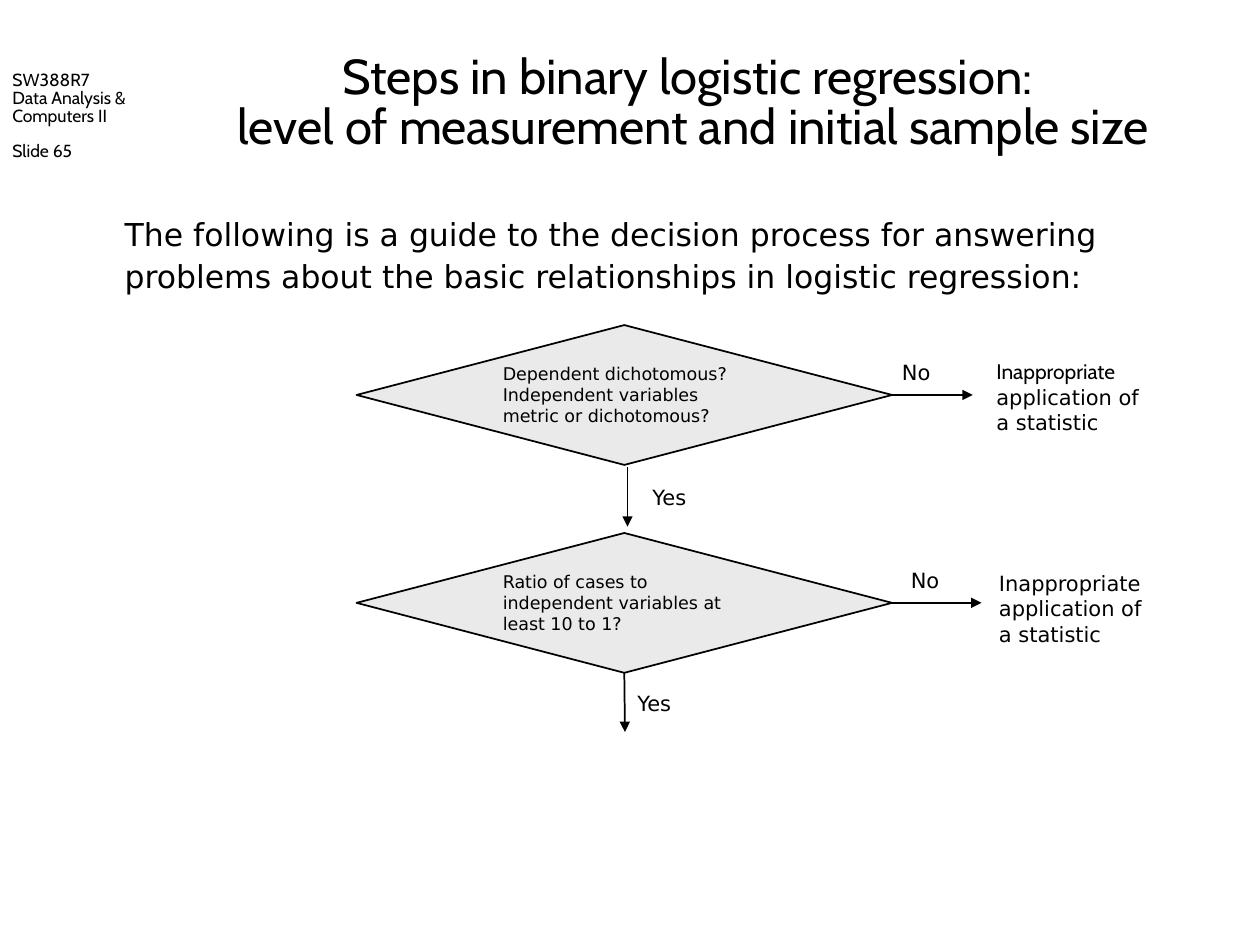
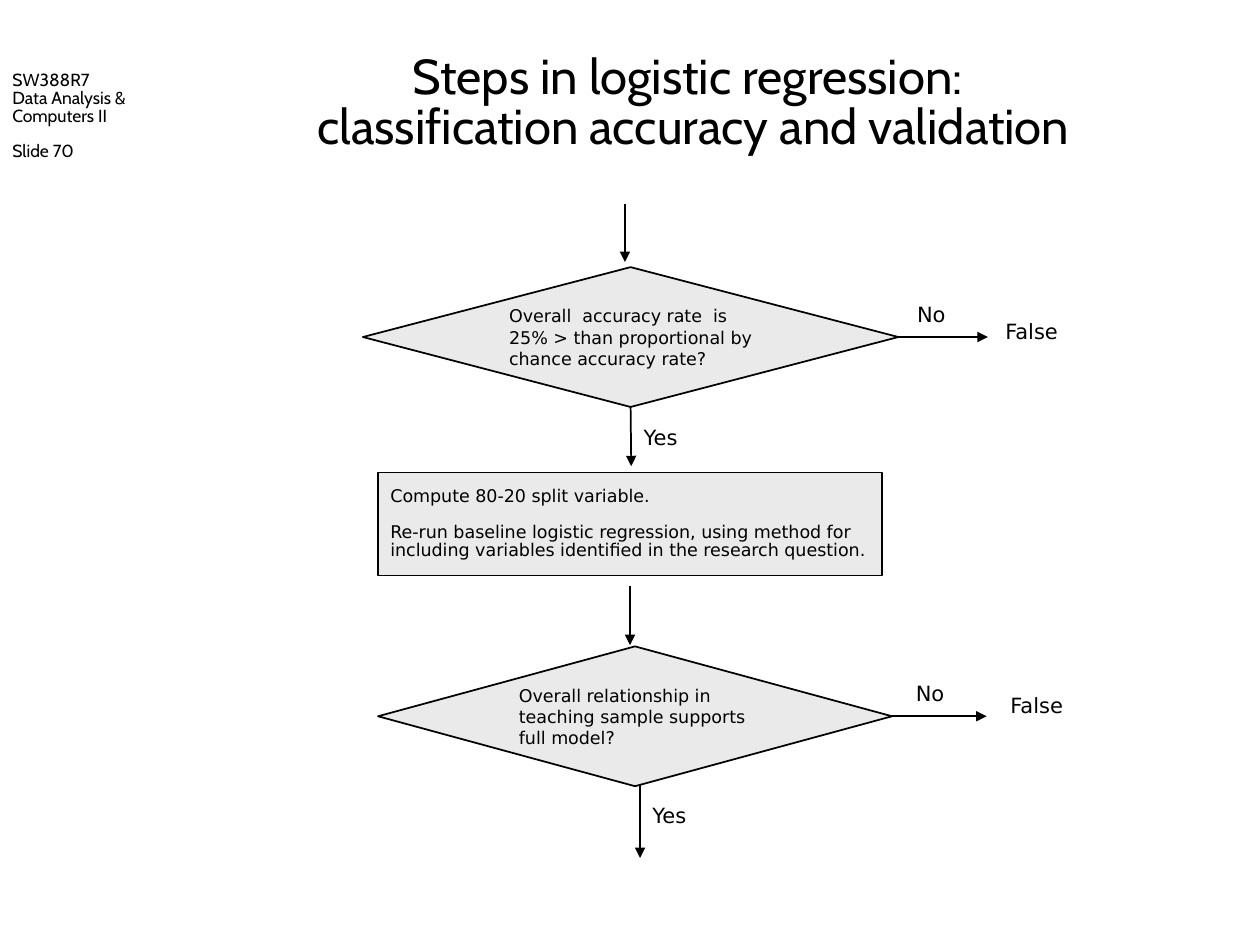
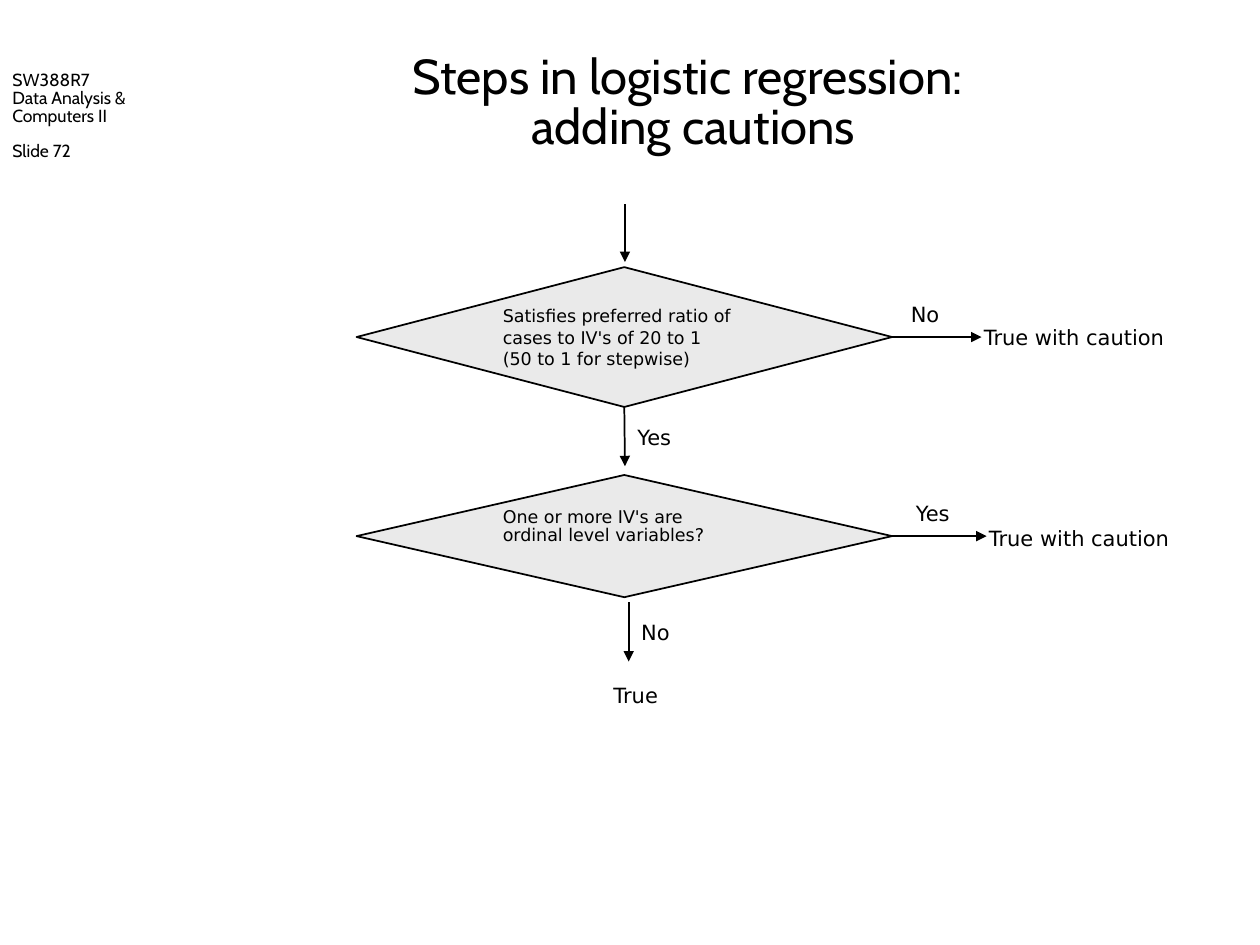
import pptx
import pptx.dml.color
import pptx.enum.shapes
import pptx.enum.text
import pptx.oxml.ns
import pptx.util
import lxml.etree

SHAPE = pptx.enum.shapes.MSO_SHAPE
ANCHOR = pptx.enum.text.MSO_ANCHOR
ALIGN = pptx.enum.text.PP_ALIGN

WIDTH, HEIGHT = pptx.util.Inches(10), pptx.util.Inches(7.5)
COLUMNS, ROWS = 100, 75
BLACK, WHITE, GREY = "000000", "FFFFFF", "EAEAEA"
HEADING_FONT, BODY_FONT = "Cabin", "DejaVu Sans"
TIGHT = 0.85
BOTTOM_SITE, RIGHT_SITE = 2, 3


def rgb(value):
    return pptx.dml.color.RGBColor.from_string(value)


def col(n):
    return round(WIDTH * n / COLUMNS)


def row(n):
    return round(HEIGHT * n / ROWS)


def box(left, top, width, height):
    return col(left), row(top), col(width), row(height)


def add_run(p, text, size, font=BODY_FONT):
    r = p.add_run()
    r.text = text
    r.font.size = pptx.util.Pt(size)
    r.font.name = font
    r.font.color.rgb = rgb(BLACK)


def fill_text(tf, paragraphs, size, font=BODY_FONT, anchor=ANCHOR.TOP,
              align=ALIGN.LEFT, spacing=None):
    tf.word_wrap = True
    tf.auto_size = pptx.enum.text.MSO_AUTO_SIZE.NONE
    tf.vertical_anchor = anchor
    for i, text in enumerate(paragraphs):
        p = tf.paragraphs[0] if i == 0 else tf.add_paragraph()
        p.alignment = align
        p.line_spacing = spacing
        add_run(p, text, size, font)
    return tf


def add_label(slide, area, text, align=ALIGN.LEFT):
    sp = slide.shapes.add_textbox(*box(*area))
    return fill_text(sp.text_frame, [text], 12, align=align)


def add_block(slide, kind, area, fill, line_width=None):
    sp = slide.shapes.add_shape(kind, *box(*area))
    sp.shadow.inherit = False
    sp.fill.solid()
    sp.fill.fore_color.rgb = rgb(fill)
    if line_width:
        sp.line.color.rgb = rgb(BLACK)
        sp.line.width = pptx.util.Pt(line_width)
    else:
        sp.line.fill.background()
    return sp


def add_decision(slide, area, paragraphs, spacing=None):
    sp = add_block(slide, SHAPE.FLOWCHART_DECISION, area, GREY, 1)
    fill_text(sp.text_frame, paragraphs, 10, anchor=ANCHOR.MIDDLE, spacing=spacing)
    return sp


def add_arrow(slide, x1, y1, x2, y2, source=None, site=None):
    cx = slide.shapes.add_connector(
        pptx.enum.shapes.MSO_CONNECTOR.STRAIGHT, col(x1), row(y1), col(x2), row(y2))
    cx.line.color.rgb = rgb(BLACK)
    cx.line.width = pptx.util.Pt(1)
    qn = pptx.oxml.ns.qn
    lxml.etree.SubElement(cx.line._get_or_add_ln(), qn("a:tailEnd"), type="triangle")
    lxml.etree.SubElement(cx._element.spPr, qn("a:effectLst"))
    if source is not None:
        cx.begin_connect(source, site)


def arrow_down(slide, x, top, bottom, label=None, source=None, shift=0):
    add_arrow(slide, x, top, x, bottom, source, BOTTOM_SITE)
    if label:
        add_label(slide, (x + shift, top + 0.9, 5.1, 3), label)


def arrow_right(slide, source, end, label):
    tip = (source.left + source.width) / col(1)
    middle = (source.top + source.height / 2) / row(1)
    add_arrow(slide, tip, middle, end, middle, source, RIGHT_SITE)
    add_label(slide, (end - 6.6, middle - 3.3, 5.1, 3), label)


def add_slide(prs, number, title_lines):
    slide = prs.slides.add_slide(prs.slide_layouts[5])
    course = slide.shapes.add_textbox(*box(0, 3.3, 12.5, 10))
    tf = fill_text(course.text_frame,
                   ["SW388R7", "Data Analysis & Computers II", f"Slide {number}"],
                   10, HEADING_FONT, ANCHOR.BOTTOM, spacing=TIGHT)
    tf.paragraphs[-1].space_before = pptx.util.Pt(10)

    title = slide.shapes.title
    title.left, title.top, title.width, title.height = box(12.5, 3.3, 85, 10)
    tf = fill_text(title.text_frame, title_lines[:1], 28, HEADING_FONT,
                   ANCHOR.MIDDLE, ALIGN.CENTER, TIGHT)
    p = tf.paragraphs[0]
    p.add_line_break()
    add_run(p, title_lines[1], 28, HEADING_FONT)
    return slide


def build_sample_size(prs):
    slide = add_slide(prs, 65, ["Steps in binary logistic regression: ",
                                "level of measurement and initial sample size"])
    guide = add_block(slide, SHAPE.RECTANGLE, (8.3, 16.6, 89.6, 7.6), WHITE)
    tf = fill_text(guide.text_frame,
                   ["The following is a guide to the decision process for answering",
                    "problems about the basic relationships in logistic regression:"], 18)
    tf.margin_left = col(1.6)
    tf.paragraphs[1].space_before = pptx.util.Pt(2)

    level = add_decision(slide, (28.3, 25.8, 42.5, 11.1),
                         ["Dependent dichotomous?",
                          "Independent variables metric or dichotomous?"])
    arrow_right(slide, level, 77.2, "No")
    arrow_down(slide, 49.8, 37.1, 41.8, "Yes", shift=1)
    tf = add_label(slide, (78.1, 28, 13.6, 7), "Inappropriate ")
    tf.paragraphs[0].runs[0].font.name = HEADING_FONT
    add_run(tf.paragraphs[0], "application of a statistic", 12)

    ratio = add_decision(slide, (28.3, 42.3, 42.5, 11.1),
                         ["Ratio of cases to independent variables at least 10 to 1?"])
    arrow_right(slide, ratio, 77.9, "No")
    arrow_down(slide, 49.6, 53.4, 58.1, "Yes", ratio)
    add_label(slide, (78.3, 44.8, 14.2, 7), "Inappropriate application of a statistic")


def build_validation(prs):
    slide = add_slide(prs, 70, ["Steps in logistic regression: ",
                                "classification accuracy and validation"])
    arrow_down(slide, 49.6, 16.2, 20.8)
    accuracy = add_decision(
        slide, (28.8, 21.2, 42.5, 11.1),
        ["Overall  accuracy rate  is 25% > than proportional by chance accuracy rate?"])
    arrow_right(slide, accuracy, 78.4, "No")
    arrow_down(slide, 50.1, 32.3, 37, "Yes", accuracy)
    add_label(slide, (78.8, 24.8, 7.9, 3), "False")

    split = add_block(slide, SHAPE.RECTANGLE, (30, 37.5, 40, 8.2), GREY, 0.75)
    tf = fill_text(split.text_frame,
                   ["Compute 80-20 split variable.",
                    "Re-run baseline logistic regression, using method for including "
                    "variables identified in the research question."],
                   10, anchor=ANCHOR.MIDDLE, spacing=TIGHT)
    tf.paragraphs[1].space_before = pptx.util.Pt(10)
    arrow_down(slide, 50, 46.5, 51.2)

    teaching = add_decision(
        slide, (30, 51.3, 40.8, 11.1),
        ["Overall relationship in teaching sample supports full model?"])
    arrow_right(slide, teaching, 78.3, "No")
    arrow_down(slide, 50.8, 62.3, 68.1, "Yes")
    add_label(slide, (79.2, 54.5, 7.9, 3), "False")


def build_cautions(prs):
    slide = add_slide(prs, 72, ["Steps in logistic regression: ", "adding cautions"])
    arrow_down(slide, 49.6, 16.2, 20.8)
    preferred = add_decision(
        slide, (28.3, 21.2, 42.5, 11.1),
        ["Satisfies preferred ratio of cases to IV's of 20 to 1",
         "(50 to 1 for stepwise)"])
    arrow_right(slide, preferred, 77.9, "No")
    arrow_down(slide, 49.6, 32.3, 37, "Yes", preferred)
    add_label(slide, (77.1, 25.3, 20, 3), "True with caution")

    ordinal = add_decision(slide, (28.3, 37.7, 42.5, 9.7),
                           ["One or more IV's are ordinal level variables?"], TIGHT)
    ordinal.text_frame.margin_bottom = row(1.9)
    arrow_right(slide, ordinal, 78.3, "Yes")
    arrow_down(slide, 49.9, 47.8, 52.5, "No")
    add_label(slide, (77.5, 41.2, 20, 3), "True with caution")
    add_label(slide, (46.7, 53.7, 7.5, 3), "True", ALIGN.CENTER)


def main():
    prs = pptx.Presentation()
    prs.slide_width, prs.slide_height = WIDTH, HEIGHT
    build_sample_size(prs)
    build_validation(prs)
    build_cautions(prs)
    prs.save("out.pptx")


if __name__ == "__main__":
    main()
